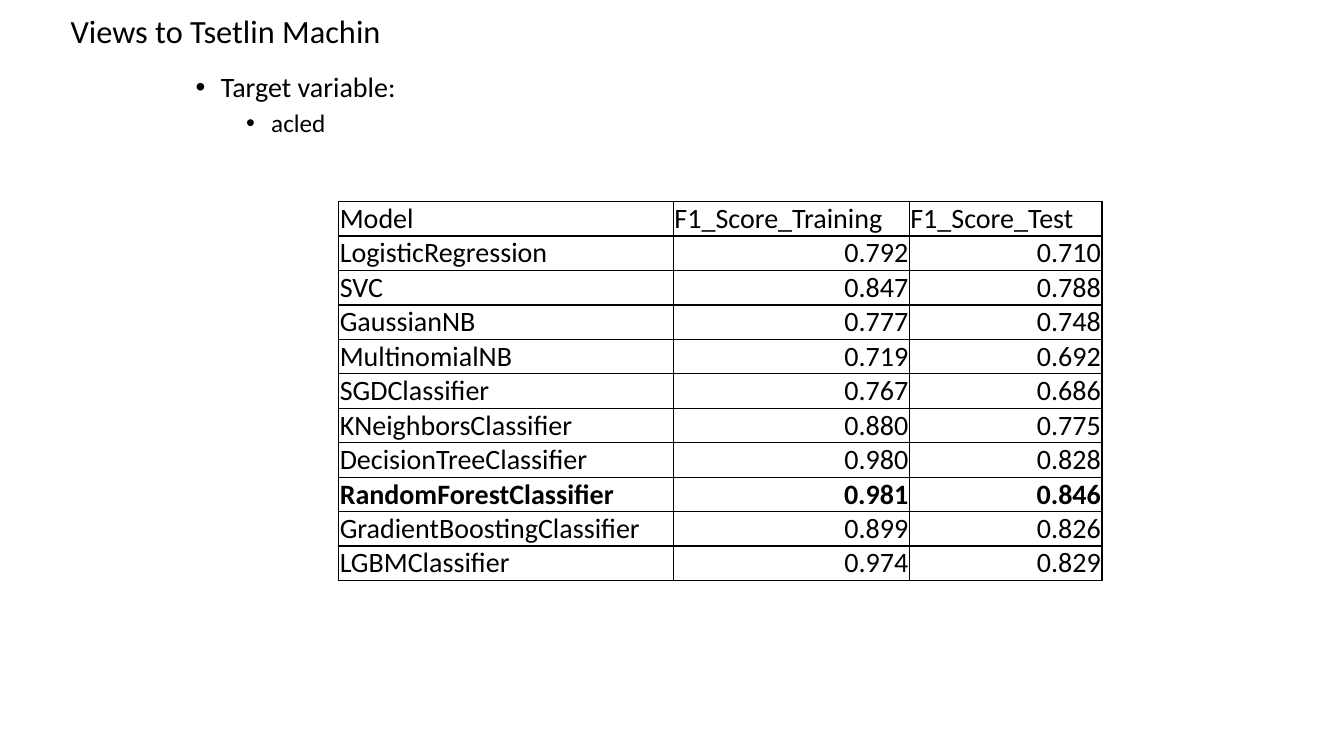
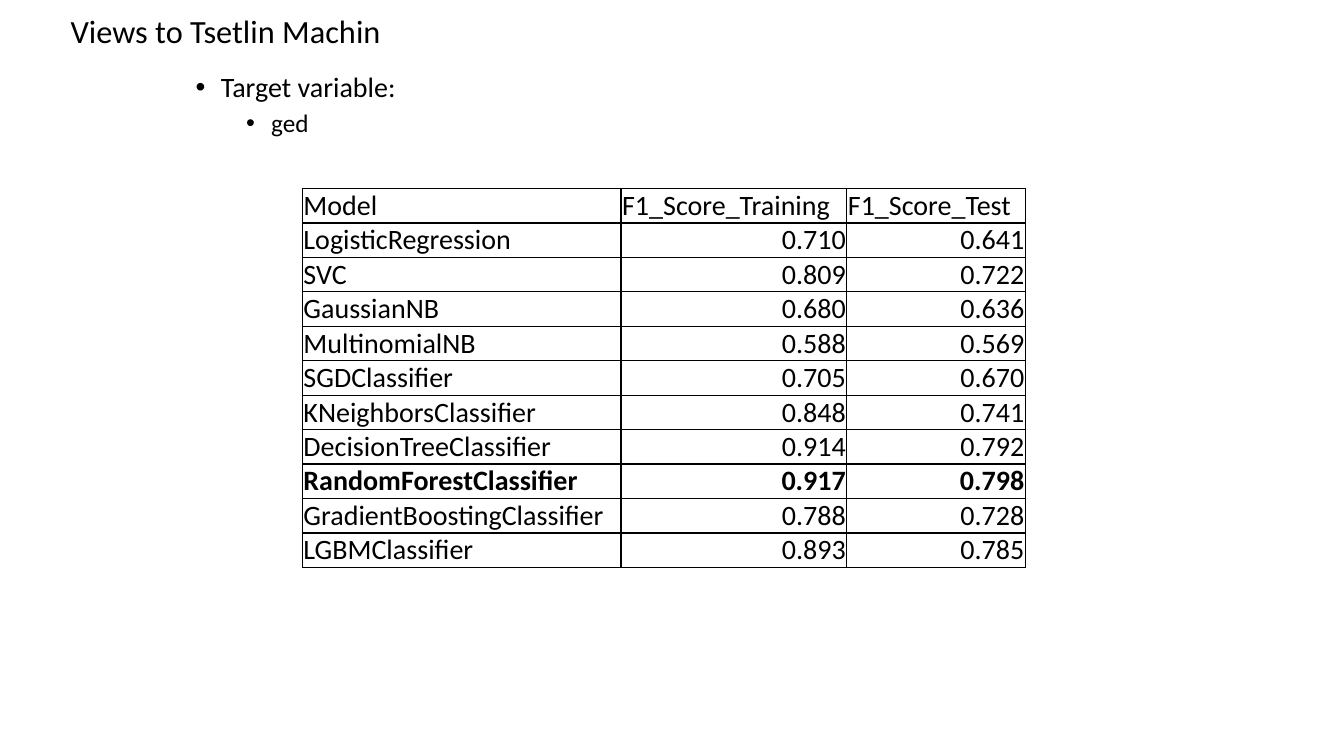
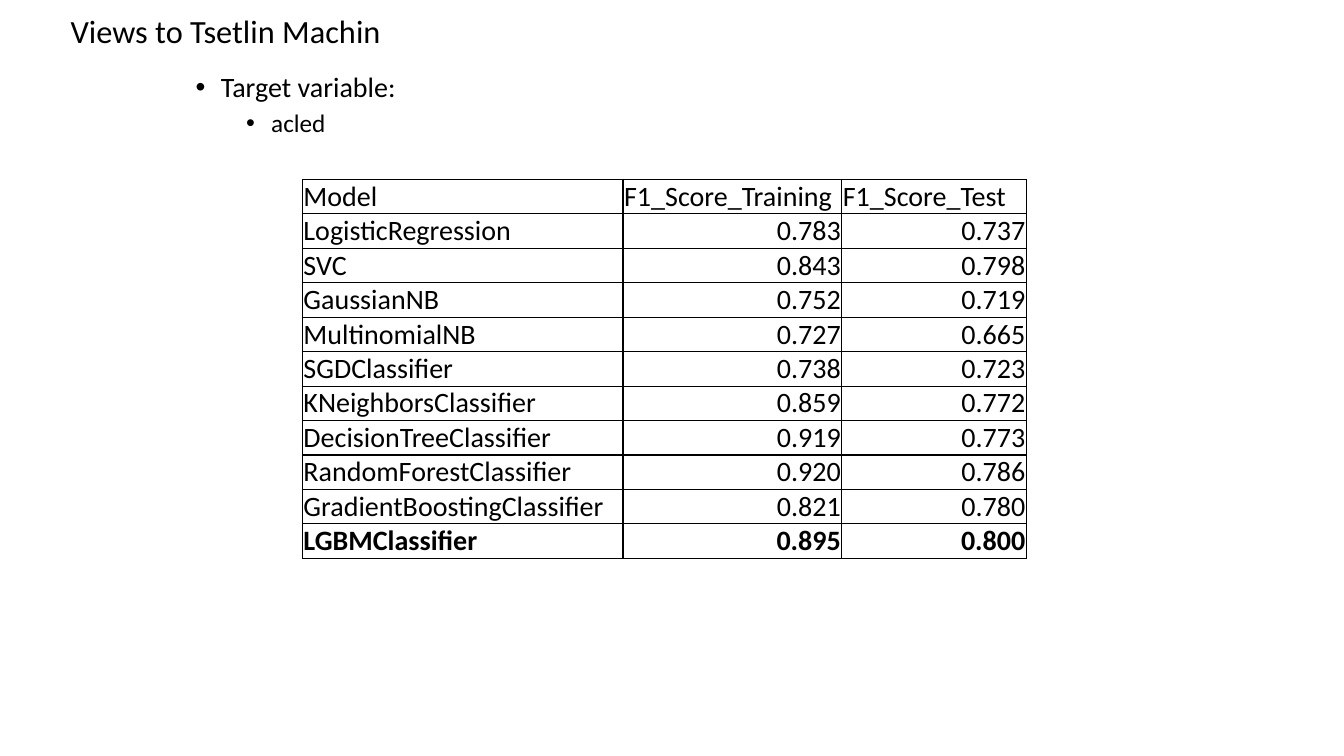
"""Build three slides that compare F1 scores of classifiers by target variable."""
from lxml.etree import SubElement
from pptx import Presentation
from pptx.dml.color import RGBColor
from pptx.enum.text import MSO_ANCHOR, MSO_AUTO_SIZE, PP_ALIGN
from pptx.oxml.ns import qn
from pptx.util import Inches, Pt

COLORS = {"text": "000000", "border": "000000", "background": "FFFFFF"}
FONT = "Calibri"
TITLE = "Views to Tsetlin Machin"
HEADER = ["Model", "F1_Score_Training", "F1_Score_Test"]
MODELS = [
    "LogisticRegression", "SVC", "GaussianNB", "MultinomialNB", "SGDClassifier",
    "KNeighborsClassifier", "DecisionTreeClassifier", "RandomForestClassifier",
    "GradientBoostingClassifier", "LGBMClassifier",
]
ROW_HEIGHT = 3.76 / (len(MODELS) + 1)

RESULTS = [
    {
        "target": "acled", "left": 3.36, "top": 2, "widths": [3.32, 2.34, 1.91],
        "best": "RandomForestClassifier",
        "training": [0.792, 0.847, 0.777, 0.719, 0.767, 0.880, 0.980, 0.981, 0.899, 0.974],
        "test": [0.710, 0.788, 0.748, 0.692, 0.686, 0.775, 0.828, 0.846, 0.826, 0.829],
    },
    {
        "target": "ged", "left": 3, "top": 1.87, "widths": [3.16, 2.24, 1.77],
        "best": "RandomForestClassifier",
        "training": [0.710, 0.809, 0.680, 0.588, 0.705, 0.848, 0.914, 0.917, 0.788, 0.893],
        "test": [0.641, 0.722, 0.636, 0.569, 0.670, 0.741, 0.792, 0.798, 0.728, 0.785],
    },
    {
        "target": "acled", "left": 3, "top": 1.78, "widths": [3.18, 2.17, 1.83],
        "best": "LGBMClassifier",
        "training": [0.783, 0.843, 0.752, 0.727, 0.738, 0.859, 0.919, 0.920, 0.821, 0.895],
        "test": [0.737, 0.798, 0.719, 0.665, 0.723, 0.772, 0.773, 0.786, 0.780, 0.800],
    },
]


def write(paragraph, text, size=20, bold=False, align=PP_ALIGN.LEFT,
          line_spacing=None, space_before=0, level=0, indent=None):
    """Fill a paragraph with text in the shared font; an indent adds a bullet."""
    paragraph.level = level
    if indent is not None:
        properties = paragraph._p.get_or_add_pPr()
        properties.set("marL", str(Inches(indent)))
        properties.set("indent", str(Inches(-0.25)))
        SubElement(properties, qn("a:buFont"), typeface="Arial")
        SubElement(properties, qn("a:buChar"), char="•")
    paragraph.alignment = align
    paragraph.line_spacing = line_spacing
    paragraph.space_before = Pt(space_before)
    run = paragraph.add_run()
    run.text = text
    run.font.name = FONT
    run.font.size = Pt(size)
    run.font.bold = bold
    run.font.color.rgb = RGBColor.from_string(COLORS["text"])


def add_borders(cell):
    """Draw a thin line on all four sides of a table cell."""
    properties = cell._tc.get_or_add_tcPr()
    for side in ("lnL", "lnR", "lnT", "lnB"):
        line = SubElement(properties, qn(f"a:{side}"), w=str(Pt(1)))
        fill = SubElement(line, qn("a:solidFill"))
        SubElement(fill, qn("a:srgbClr"), val=COLORS["border"])


presentation = Presentation()
presentation.slide_width = Inches(13.33)
presentation.slide_height = Inches(7.5)
background = presentation.slide_master.background.fill
background.solid()
background.fore_color.rgb = RGBColor.from_string(COLORS["background"])
layout = presentation.slide_layouts.get_by_name("Title and Content")

for result in RESULTS:
    slide = presentation.slides.add_slide(layout)

    title = slide.shapes.title
    title.left, title.top = Inches(0.6), Inches(0.15)
    title.width, title.height = Inches(12.14), Inches(0.41)
    title.text_frame.auto_size = MSO_AUTO_SIZE.NONE
    title.text_frame.vertical_anchor = MSO_ANCHOR.MIDDLE
    write(title.text_frame.paragraphs[0], TITLE, size=23.1, line_spacing=0.7)

    body = slide.placeholders[1]
    body.left, body.top = Inches(0.84), Inches(0.68)
    body.width, body.height = Inches(11.5), Inches(6.73)
    body.text_frame.auto_size = MSO_AUTO_SIZE.NONE
    write(body.text_frame.paragraphs[0], "Target variable:",
          line_spacing=0.9, level=2, indent=1.25)
    write(body.text_frame.add_paragraph(), result["target"], size=18,
          line_spacing=0.9, space_before=5, level=3, indent=1.75)

    scores = zip(MODELS, result["training"], result["test"])
    rows = [HEADER] + [[model, f"{training:.3f}", f"{test:.3f}"]
                       for model, training, test in scores]
    table = slide.shapes.add_table(
        len(rows), len(HEADER), Inches(result["left"]), Inches(result["top"]),
        Inches(sum(result["widths"])), Inches(ROW_HEIGHT * len(rows))).table
    table.first_row = False
    table.horz_banding = False
    for column, width in zip(table.columns, result["widths"]):
        column.width = Inches(width)
    for row_index, values in enumerate(rows):
        table.rows[row_index].height = Inches(ROW_HEIGHT)
        for column_index, value in enumerate(values):
            cell = table.cell(row_index, column_index)
            add_borders(cell)
            cell.fill.background()
            cell.vertical_anchor = MSO_ANCHOR.BOTTOM
            cell.margin_left = cell.margin_right = Inches(0.01)
            cell.margin_top = cell.margin_bottom = 0
            is_score = row_index > 0 and column_index > 0
            write(cell.text_frame.paragraphs[0], value,
                  bold=values[0] == result["best"],
                  align=PP_ALIGN.RIGHT if is_score else PP_ALIGN.LEFT)

presentation.save("out.pptx")
